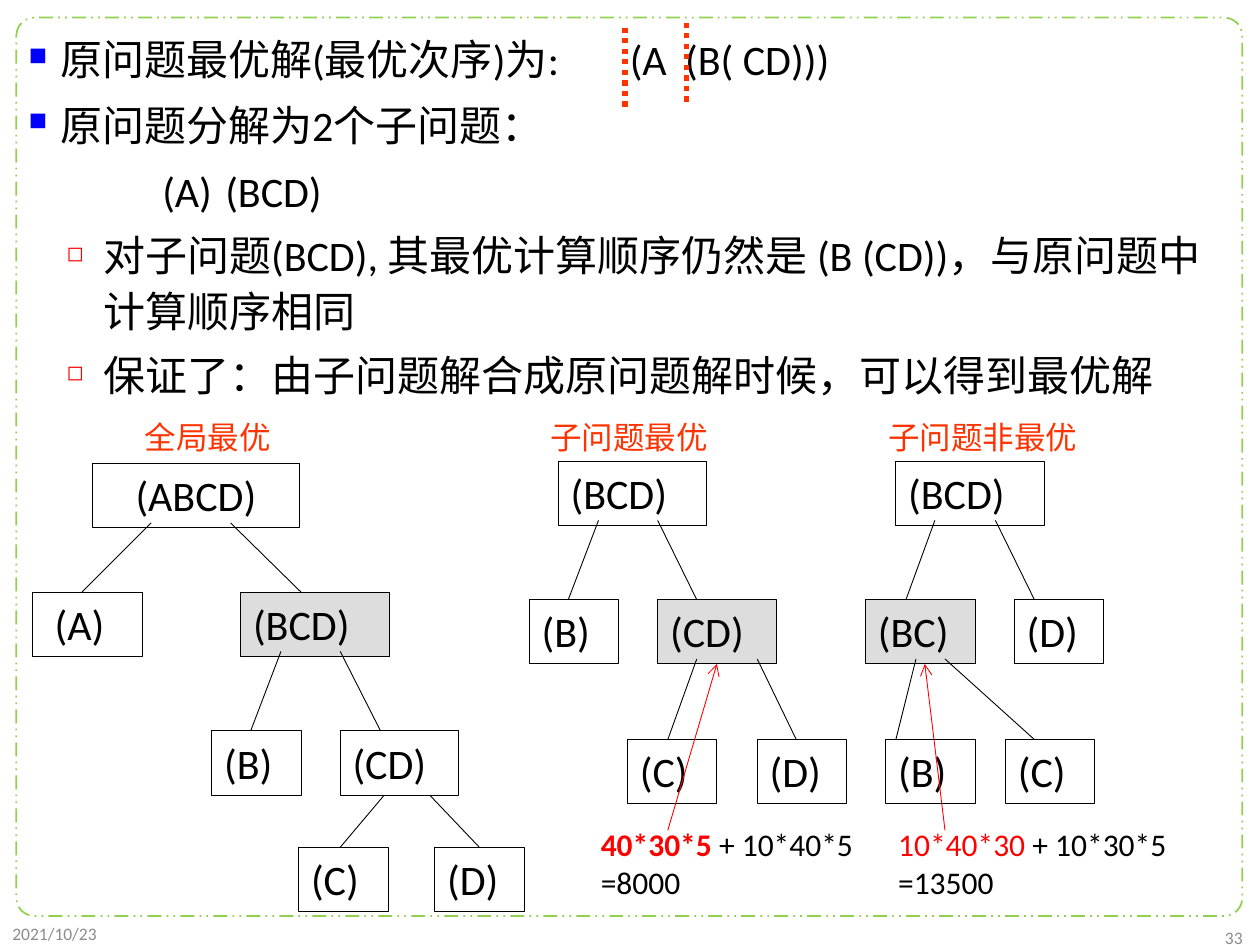
from dataclasses import dataclass
from typing import Optional

from lxml import etree
from pptx import Presentation
from pptx.dml.color import RGBColor
from pptx.enum.dml import MSO_LINE
from pptx.enum.shapes import MSO_CONNECTOR, MSO_SHAPE
from pptx.enum.text import MSO_ANCHOR, MSO_AUTO_SIZE, PP_ALIGN
from pptx.oxml.ns import qn
from pptx.util import Inches, Pt

RECTANGLE, ROUNDED = MSO_SHAPE.RECTANGLE, MSO_SHAPE.ROUNDED_RECTANGLE
STRAIGHT = MSO_CONNECTOR.STRAIGHT
DOTTED, DASH_DOT_DOT = MSO_LINE.ROUND_DOT, MSO_LINE.DASH_DOT_DOT
TOP, MIDDLE = MSO_ANCHOR.TOP, MSO_ANCHOR.MIDDLE
LEFT, CENTER, RIGHT = PP_ALIGN.LEFT, PP_ALIGN.CENTER, PP_ALIGN.RIGHT
FIT_SHAPE = MSO_AUTO_SIZE.SHAPE_TO_FIT_TEXT
TOP_SIDE, BOTTOM_SIDE = 0, 2

COLORS = {
    "ink": "000000", "frame": "92D050", "shade": "DDDDDD", "accent": "FF3300",
    "red": "FF0000", "blue": "0000FF", "footer": "8C8C8C",
}
FONT = "Calibri"
COLUMNS, ROWS = 100, 75
WIDTH, HEIGHT = Inches(10), Inches(7.5)
NODE_ROWS = 5.1


@dataclass
class Bullet:
    char: str
    color: str
    percent: int


@dataclass
class Point:
    text: str
    margin: float
    hang: float
    before: float
    bullet: Optional[Bullet] = None
    tabs: tuple[float, ...] = ()


@dataclass
class Node:
    text: str
    level: int
    column: float
    width: float
    shaded: bool = False
    align: PP_ALIGN = LEFT


@dataclass
class Link:
    level: int
    start: float
    end: float
    drop: float = 4.7
    target: Optional[int] = None


@dataclass
class Tree:
    caption: str
    caption_column: float
    caption_width: float
    levels: tuple[float, ...]
    nodes: list[Node]
    links: list[Link]


@dataclass
class Cost:
    column: float
    width: float
    product: str
    rest: str
    total: str
    bold: bool


SQUARE = Bullet("■", "blue", 60)
HOLLOW = Bullet("◻", "red", 50)
POINTS = [
    Point("原问题最优解(最优次序)为:\t(A\t(B( CD)))", 0.25, -0.25, 0, SQUARE, (4.77, 5.21)),
    Point("原问题分解为2个子问题：", 0.25, -0.25, 6, SQUARE),
    Point("(A)\t(BCD)", 1.06, 0, 6, tabs=(1.61,)),
    Point("对子问题(BCD), 其最优计算顺序仍然是 (B (CD))，与原问题中计算顺序相同", 0.59, -0.29, 5, HOLLOW),
    Point("保证了：由子问题解合成原问题解时候，可以得到最优解", 0.59, -0.29, 5, HOLLOW),
]
SUB_LEVELS = (36.6, 47.6, 58.7)
TREES = [
    Tree("全局最优", 10.5, 12, (36.8, 47, 58, 67.25), [
        Node("(ABCD)", 0, 7.3, 16.5, align=CENTER),
        Node(" (A)", 1, 2.6, 8.7), Node("(BCD)", 1, 19.1, 11.8, True),
        Node("(B)", 2, 16.8, 7.1), Node("(CD)", 2, 27, 9.4),
        Node("(C)", 3, 23.7, 7.1), Node("(D)", 3, 34.5, 7.1),
    ], [
        Link(0, 12, 6.5), Link(0, 18.3, 23.9), Link(1, 22.3, 19.9), Link(1, 27, 30.2),
        Link(2, 30.5, 27, 5.1), Link(2, 34.1, 38, 5.1, target=6),
    ]),
    Tree("子问题最优", 42.7, 14.5, SUB_LEVELS, [
        Node("(BCD)", 0, 44.3, 11.8),
        Node("(B)", 1, 42, 7.1), Node("(CD)", 1, 52.2, 9.4, True),
        Node("(C)", 2, 49.8, 7.1), Node("(D)", 2, 60.1, 7.1),
    ], [
        Link(0, 47.5, 45.1), Link(0, 52.2, 55.3), Link(1, 55.3, 53), Link(1, 60.1, 63.2),
    ]),
    Tree("子问题非最优", 69.5, 17, SUB_LEVELS, [
        Node("(BCD)", 0, 71.1, 11.8),
        Node("(BC)", 1, 68.7, 8.7, True), Node("(D)", 1, 80.5, 7.1),
        Node("(B)", 2, 70.3, 7.1), Node("(C)", 2, 79.8, 7.1),
    ], [
        Link(0, 74.2, 71.9), Link(0, 79, 82.1), Link(1, 72.7, 71.1), Link(1, 75, 82.1),
    ]),
]
COSTS = [
    Cost(70.3, 24, "10*40*30", " + 10*30*5", "=13500", False),
    Cost(46.7, 22.6, "40*30*5 ", "+ 10*40*5", "=8000", True),
]


def col(count: float) -> int:
    return round(WIDTH * count / COLUMNS)


def row(count: float) -> int:
    return round(HEIGHT * count / ROWS)


def rgb(name: str) -> RGBColor:
    return RGBColor.from_string(COLORS[name])


def style(font, size: float, color: str, bold: Optional[bool] = None) -> None:
    font.name, font.size, font.bold = FONT, Pt(size), bold
    font.color.rgb = rgb(color)


def add_text(page, area: tuple, text: str, size: float, color: str, align=LEFT, anchor=TOP, wrap=True):
    left, top, width, height = area
    box = page.shapes.add_textbox(col(left), row(top), col(width), row(height))
    frame = box.text_frame
    frame.word_wrap, frame.vertical_anchor = wrap, anchor
    if not wrap:
        frame.auto_size = FIT_SHAPE
    para = frame.paragraphs[0]
    if text:
        para.text, para.alignment = text, align
        style(para.font, size, color)
    return frame


def add_outline(page, kind, area: tuple, color: str, weight: float, fill: Optional[str] = None):
    left, top, width, height = area
    shape = page.shapes.add_shape(kind, col(left), row(top), col(width), row(height))
    shape.shadow.inherit = False
    shape.line.color.rgb, shape.line.width = rgb(color), Pt(weight)
    if fill:
        shape.fill.solid()
        shape.fill.fore_color.rgb = rgb(fill)
    else:
        shape.fill.background()
    return shape


def add_line(page, start: tuple, end: tuple, color: str, weight: float):
    line = page.shapes.add_connector(STRAIGHT, col(start[0]), row(start[1]), col(end[0]), row(end[1]))
    line.line.color.rgb, line.line.width = rgb(color), Pt(weight)
    etree.SubElement(line._element.spPr, qn("a:effectLst"))
    return line


def add_arrow(page, start: tuple, end: tuple):
    arrow = add_line(page, start, end, "red", 0.5)
    etree.SubElement(arrow._element.spPr.find(qn("a:ln")), qn("a:tailEnd"), type="arrow")
    return arrow


def add_point(para, point: Point) -> None:
    para.text = point.text
    para.line_spacing, para.space_before = 1.1, Pt(point.before)
    props = para._p.get_or_add_pPr()
    props.set("marL", str(Inches(point.margin)))
    props.set("indent", str(Inches(point.hang)))
    if point.bullet:
        color = etree.SubElement(props, qn("a:buClr"))
        etree.SubElement(color, qn("a:srgbClr"), val=COLORS[point.bullet.color])
        etree.SubElement(props, qn("a:buSzPct"), val=str(point.bullet.percent * 1000))
        etree.SubElement(props, qn("a:buChar"), char=point.bullet.char)
    if point.tabs:
        stops = etree.SubElement(props, qn("a:tabLst"))
        for stop in point.tabs:
            etree.SubElement(stops, qn("a:tab"), pos=str(Inches(stop)), algn="l")
    style(para.font, 24, "ink")


def add_tree(page, tree: Tree) -> list:
    add_text(page, (tree.caption_column, 32.7, tree.caption_width, 4), tree.caption, 18, "accent", wrap=False)
    boxes = []
    for node in tree.nodes:
        area = (node.column, tree.levels[node.level], node.width, NODE_ROWS)
        box = add_outline(page, RECTANGLE, area, "ink", 0.5, "shade" if node.shaded else None)
        box.text_frame.vertical_anchor = TOP
        para = box.text_frame.paragraphs[0]
        para.text, para.alignment = node.text, node.align
        style(para.font, 24, "ink")
        boxes.append(box)
    for link in tree.links:
        start = (link.start, tree.levels[link.level] + link.drop)
        line = add_line(page, start, (link.end, tree.levels[link.level + 1]), "ink", 0.5)
        if link.target is not None:
            line.end_connect(boxes[link.target], TOP_SIDE)
    return boxes


def add_cost(page, cost: Cost) -> None:
    frame = add_text(page, (cost.column, 65, cost.width, 7), "", 18, "ink", wrap=False)
    para = frame.paragraphs[0]
    for text, color, bold in ((cost.product, "red", cost.bold), (cost.rest, "ink", False)):
        span = para.add_run()
        span.text = text
        style(span.font, 18, color, bold)
    total = frame.add_paragraph()
    total.text = cost.total
    style(total.font, 18, "ink")


def main() -> None:
    deck = Presentation()
    deck.slide_width, deck.slide_height = WIDTH, HEIGHT
    page = deck.slides.add_slide(deck.slide_layouts[6])
    border = add_outline(page, ROUNDED, (1.3, 1.4, 97.3, 71.3), "frame", 1)
    border.adjustments[0] = 0.02
    border.line.dash_style = DASH_DOT_DOT
    body = add_text(page, (1.3, 1.8, 97.3, 70.8), "", 24, "ink")
    for index, point in enumerate(POINTS):
        add_point(body.add_paragraph() if index else body.paragraphs[0], point)
    add_text(page, (0, 72.6, 22.5, 2.9), "2021/10/23", 10, "footer", LEFT, MIDDLE)
    add_text(page, (77.1, 73.1, 22.5, 2.6), "33", 10, "footer", RIGHT, MIDDLE)
    for column, top in ((49.6, 2.2), (54.5, 1.8)):
        divider = add_line(page, (column, top), (column, top + 6.3), "accent", 3)
        divider.line.dash_style = DOTTED
    trees = [add_tree(page, tree) for tree in TREES]
    for cost in COSTS:
        add_cost(page, cost)
    add_arrow(page, (53, 65.9), (56.9, 52.7)).end_connect(trees[1][2], BOTTOM_SIDE)
    add_arrow(page, (75, 65.9), (73.4, 52.7))
    deck.save("out.pptx")


if __name__ == "__main__":
    main()
